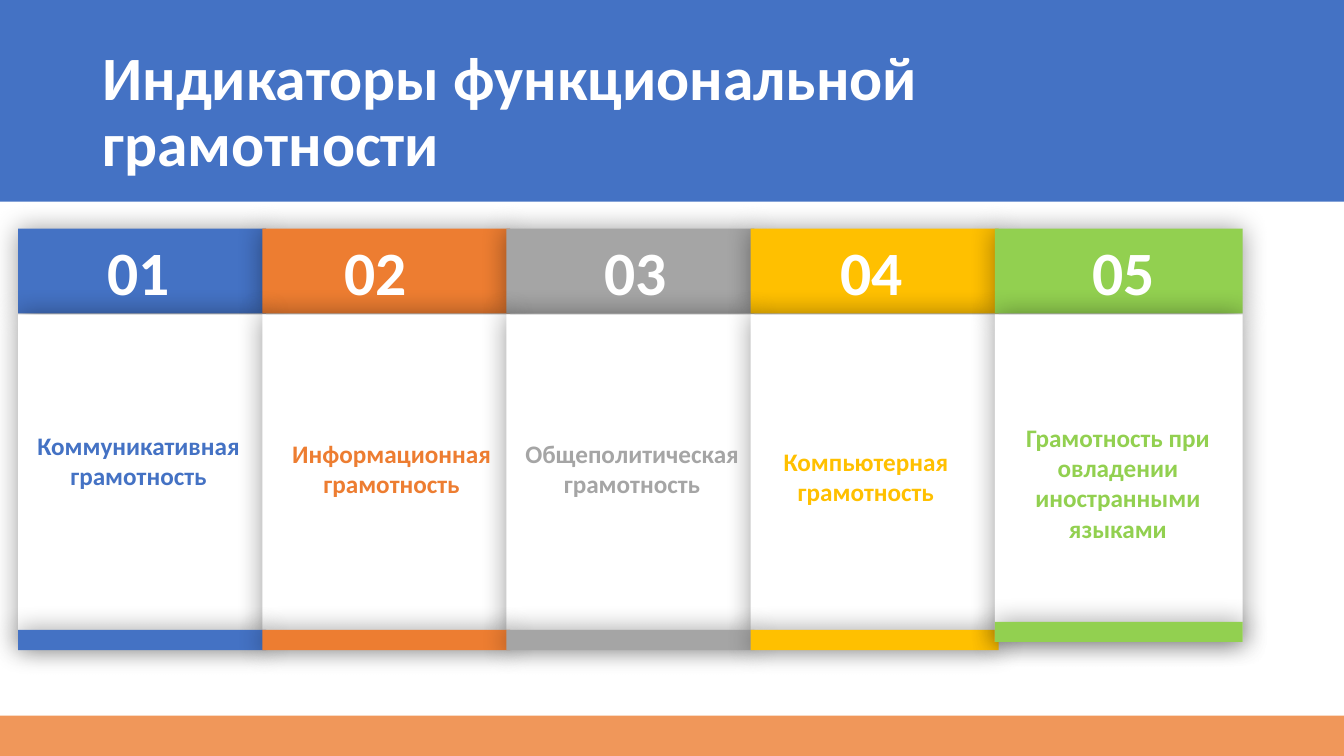
"""Build the slide of five numbered literacy indicator cards."""
from lxml import etree
from pptx import Presentation
from pptx.dml.color import RGBColor
from pptx.enum.shapes import MSO_SHAPE
from pptx.enum.text import MSO_ANCHOR, MSO_AUTO_SIZE, PP_ALIGN
from pptx.oxml import parse_xml
from pptx.oxml.ns import qn
from pptx.util import Pt

RECTANGLE = MSO_SHAPE.RECTANGLE
MIDDLE = MSO_ANCHOR.MIDDLE
FIT_SHAPE, FIT_NONE = MSO_AUTO_SIZE.SHAPE_TO_FIT_TEXT, MSO_AUTO_SIZE.NONE
LEFT, CENTER = PP_ALIGN.LEFT, PP_ALIGN.CENTER

WHITE = RGBColor(0xFF, 0xFF, 0xFF)
BLUE = RGBColor(0x44, 0x72, 0xC4)
ORANGE = RGBColor(0xED, 0x7D, 0x31)
GRAY = RGBColor(0xA5, 0xA5, 0xA5)
GOLD = RGBColor(0xFF, 0xC0, 0x00)
GREEN = RGBColor(0x92, 0xD0, 0x50)

SLIDE_WIDTH, SLIDE_HEIGHT = 960, 540
CARD_LEFT, CARD_STEP, CARD_WIDTH = 13, 174.4, 177.1
HEAD_TOP, HEAD_HEIGHT = 163.4, 60.5
PANEL_TOP, PANEL_HEIGHT = 224.6, 234
FOOT_HEIGHT = 14.4
NUMBER_WIDTH = 59.8
SHADOW = (
    '<a:effectLst xmlns:a="http://schemas.openxmlformats.org/drawingml/2006/main">'
    '<a:outerShdw blurRad="241300" dist="0" dir="0" algn="ctr" rotWithShape="0">'
    '<a:srgbClr val="000000"><a:alpha val="40000"/></a:srgbClr>'
    '</a:outerShdw></a:effectLst>'
)

CARDS = [
    {"color": BLUE, "number_left": 69.1, "foot_top": 450,
     "label": "Коммуникативная грамотность", "label_at": (18.7, 303.8, 160.6, 51.1)},
    {"color": ORANGE, "number_left": 238.3, "foot_top": 450,
     "label": "Информационная грамотность", "label_at": (198.7, 309.6, 162, 51.1)},
    {"color": GRAY, "number_left": 424.1, "foot_top": 450,
     "label": "Общеполитическая грамотность", "label_at": (367.2, 309.6, 168.6, 51.1)},
    {"color": GOLD, "number_left": 592.6, "foot_top": 450,
     "label": "Компьютерная грамотность", "label_at": (542.2, 315.4, 152.6, 51.1)},
    {"color": GREEN, "number_left": 772.6, "foot_top": 444.2,
     "label": "Грамотность при овладении иностранными языками",
     "label_at": (722.2, 298.1, 152.6, 94.3)},
]

deck = Presentation()
deck.slide_width, deck.slide_height = Pt(SLIDE_WIDTH), Pt(SLIDE_HEIGHT)
slide = deck.slides.add_slide(deck.slide_layouts[5])


def add_block(left, top, width, height, color):
    block = slide.shapes.add_shape(RECTANGLE, Pt(left), Pt(top), Pt(width), Pt(height))
    block.shadow.inherit = False
    block.fill.solid()
    block.fill.fore_color.rgb = color
    block.line.fill.background()
    return block


def write_text(box, text, size, color, alignment, frame_format):
    frame = box.text_frame
    for name, value in frame_format.items():
        setattr(frame, name, value)
    para = frame.paragraphs[0]
    para.alignment = alignment
    span = para.add_run()
    span.text = text
    for name, value in {"name": "Calibri", "size": Pt(size), "bold": True}.items():
        setattr(span.font, name, value)
    span.font.color.rgb = color
    return para


title = slide.shapes.title
title_place = {"left": 66, "top": 28.8, "width": 828, "height": 104.4}
for name, value in title_place.items():
    setattr(title, name, Pt(value))
title_format = {"word_wrap": True, "auto_size": FIT_NONE, "vertical_anchor": MIDDLE}
title_para = write_text(title, "Индикаторы функциональной грамотности", 44, WHITE, LEFT, title_format)
title_para.line_spacing = 0.9

title_band = add_block(0, 0, SLIDE_WIDTH, 144, BLUE)
bottom_band = add_block(0, 511.2, SLIDE_WIDTH, 28.8, ORANGE)
bottom_color = bottom_band.element.spPr.find(f"{qn('a:solidFill')}/{qn('a:srgbClr')}")
etree.SubElement(bottom_color, qn("a:alpha")).set("val", "80000")
for band in (title_band, bottom_band):
    title.element.addprevious(band.element)

for group in (range(4), range(4, 5)):
    for part in ("head", "panel", "foot"):
        for index in group:
            card = CARDS[index]
            top, height, color = {
                "head": (HEAD_TOP, HEAD_HEIGHT, card["color"]),
                "panel": (PANEL_TOP, PANEL_HEIGHT, WHITE),
                "foot": (card["foot_top"], FOOT_HEIGHT, card["color"]),
            }[part]
            block = add_block(CARD_LEFT + index * CARD_STEP, top, CARD_WIDTH, height, color)
            properties = block.element.spPr
            properties.replace(properties.find(qn("a:effectLst")), parse_xml(SHADOW))
    for index in group:
        card = CARDS[index]
        number_at = (card["number_left"], HEAD_TOP, NUMBER_WIDTH, HEAD_HEIGHT)
        for place, text, size, color, wrap in (
            (number_at, f"{index + 1:02}", 44, WHITE, False),
            (card["label_at"], card["label"], 18, card["color"], True),
        ):
            box = slide.shapes.add_textbox(*(Pt(length) for length in place))
            box_format = {"word_wrap": wrap, "auto_size": FIT_SHAPE}
            write_text(box, text, size, color, CENTER, box_format)

deck.save("out.pptx")
